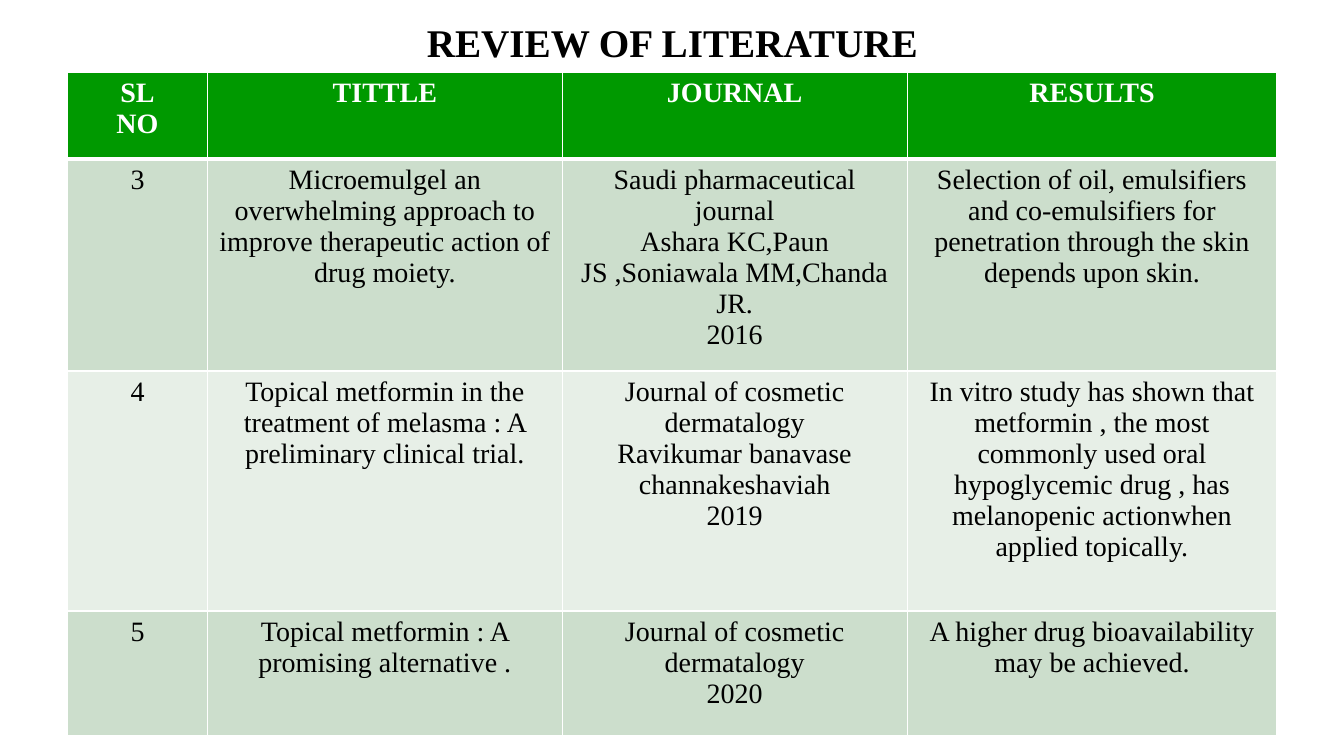
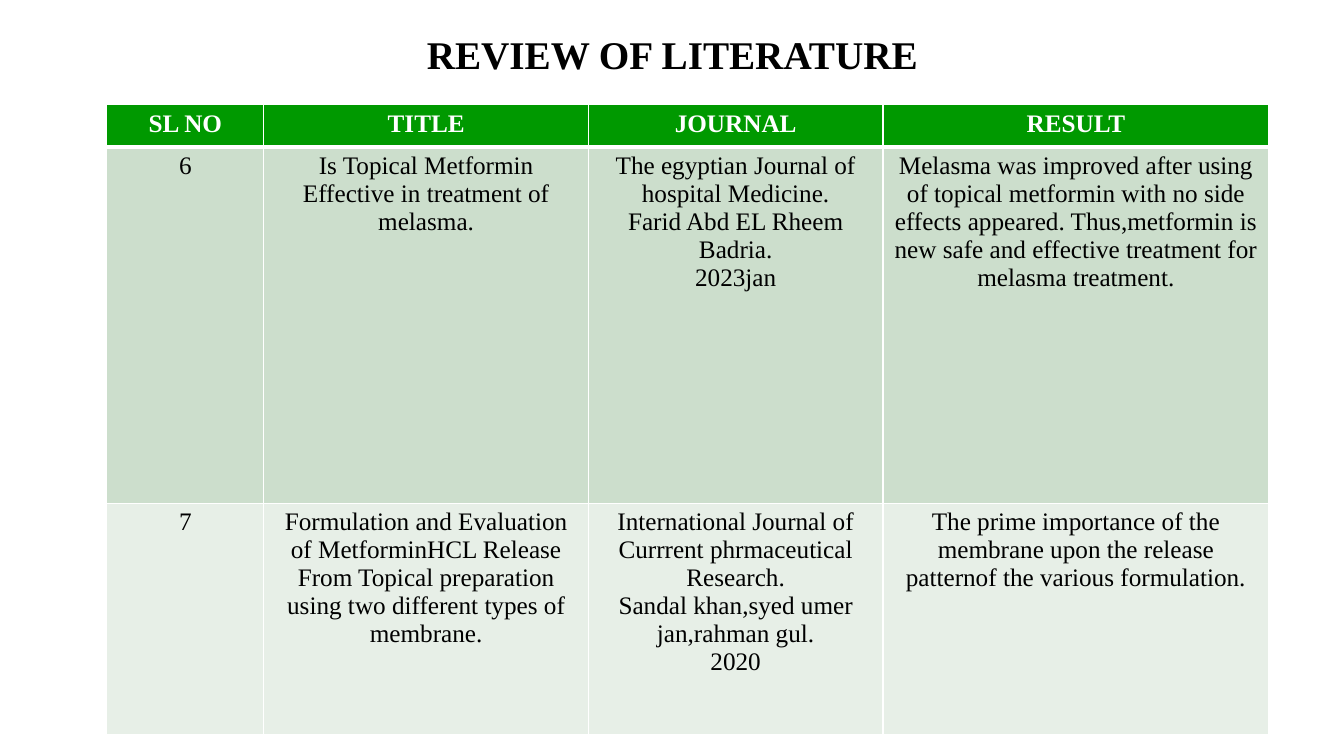
from dataclasses import dataclass

from lxml import etree
from pptx import Presentation
from pptx.dml.color import RGBColor
from pptx.enum import text
from pptx.oxml import ns
from pptx.util import Cm, Pt


@dataclass(frozen=True)
class Theme:
    font: str = "Times New Roman"
    ink: str = "000000"
    paper: str = "FFFFFF"
    head: str = "009900"
    bands: tuple = ("CCDECC", "E7EFE7")
    title: int = 28
    rule: int = 1
    thick: int = 3


THEME = Theme()
LEFT, WIDTH = 1.7, 30.48


def write(frame, lines, size, color, bold=False):
    """Fill a frame with centred paragraphs."""
    for i, line in enumerate(lines):
        para = frame.paragraphs[0] if i == 0 else frame.add_paragraph()
        para.alignment = text.PP_ALIGN.CENTER
        run = para.add_run()
        run.text = line
        font = run.font
        font.name, font.size, font.bold = THEME.font, Pt(size), bold
        font.color.rgb = RGBColor.from_string(color)


def add_title(slide, top, height):
    box = slide.shapes.add_textbox(Cm(LEFT), Cm(top), Cm(WIDTH), Cm(height))
    frame = box.text_frame
    frame.word_wrap = True
    frame.vertical_anchor = text.MSO_ANCHOR.MIDDLE
    write(frame, ["REVIEW OF LITERATURE"], THEME.title, THEME.ink, True)


def add_rules(cell, top, bottom):
    """Draw the four cell borders."""
    props = cell._tc.get_or_add_tcPr()
    sides = {"L": THEME.rule, "R": THEME.rule, "T": top, "B": bottom}
    for side, width in sides.items():
        line = etree.SubElement(props, ns.qn("a:ln" + side), w=str(Pt(width)))
        fill = etree.SubElement(line, ns.qn("a:solidFill"))
        etree.SubElement(fill, ns.qn("a:srgbClr"), val=THEME.paper)


def add_grid(slide, left, top, cols, rows, size, data):
    """Place a table with a header row and banded body rows."""
    frame = slide.shapes.add_table(
        len(rows), len(cols), Cm(left), Cm(top), Cm(sum(cols)), Cm(sum(rows)))
    table = frame.table
    for col, width in zip(table.columns, cols):
        col.width = Cm(width)
    for r, (row, height, cells) in enumerate(zip(table.rows, rows, data)):
        row.height = Cm(height)
        head = r == 0
        fill = THEME.head if head else THEME.bands[(r - 1) % 2]
        color = THEME.paper if head else THEME.ink
        for cell, words in zip(row.cells, cells):
            add_rules(cell, THEME.thick if r == 1 else THEME.rule,
                      THEME.thick if head else THEME.rule)
            cell.fill.solid()
            cell.fill.fore_color.rgb = RGBColor.from_string(fill)
            write(cell.text_frame, words.split("\n"), size, color, head)


# Content: a line break inside a cell starts a new paragraph
EARLY = [
    ("SL\nNO", "TITTLE", "JOURNAL", "RESULTS"),
    ("3",
     "Microemulgel an overwhelming approach to improve therapeutic action "
     "of drug moiety.",
     "Saudi pharmaceutical journal\n"
     "Ashara KC,Paun JS ,Soniawala MM,Chanda JR.\n2016",
     "Selection of oil, emulsifiers and co-emulsifiers for penetration "
     "through the skin depends upon skin."),
    ("4",
     "Topical metformin in the treatment of melasma : A preliminary "
     "clinical trial.",
     "Journal of cosmetic dermatalogy\n"
     "Ravikumar banavase channakeshaviah\n2019",
     "In vitro study has shown that metformin , the most commonly used oral "
     "hypoglycemic drug , has melanopenic actionwhen applied topically."),
    ("5",
     "Topical metformin : A promising alternative .",
     "Journal of cosmetic dermatalogy\n2020",
     "A higher drug bioavailability may be achieved."),
]
LATE = [
    ("SL NO", "TITLE", "JOURNAL", "RESULT"),
    ("6",
     "Is Topical Metformin Effective in treatment of melasma.",
     "The egyptian Journal of hospital Medicine.\n"
     "Farid Abd EL Rheem Badria.\n2023jan",
     "Melasma was improved after using of topical metformin with no side "
     "effects appeared. Thus,metformin is new safe and effective treatment "
     "for melasma treatment."),
    ("7",
     "Formulation and Evaluation of MetforminHCL Release From Topical "
     "preparation using two different types of membrane.",
     "International Journal of Currrent phrmaceutical Research.\n"
     "Sandal khan,syed umer jan,rahman gul.\n2020",
     "The prime importance of the membrane upon the release patternof the "
     "various formulation."),
]


def main():
    deck = Presentation()
    deck.slide_width, deck.slide_height = Cm(33.87), Cm(19.05)
    blank = deck.slide_layouts[6]

    # Studies 3 to 5
    slide = deck.slides.add_slide(blank)
    add_title(slide, 0.28, 1.55)
    add_grid(slide, LEFT, 1.83, (3.53, 8.94, 8.69, 9.32),
             (2.18, 5.08, 6.05, 3.15), 20, EARLY)

    # Studies 6 and 7
    slide = deck.slides.add_slide(blank)
    add_title(slide, 0.53, 1.63)
    add_grid(slide, 2.69, 2.64, (3.96, 8.18, 7.42, 9.73),
             (1.07, 8.97, 5.82), 18, LATE)

    deck.save("out.pptx")


if __name__ == "__main__":
    main()
